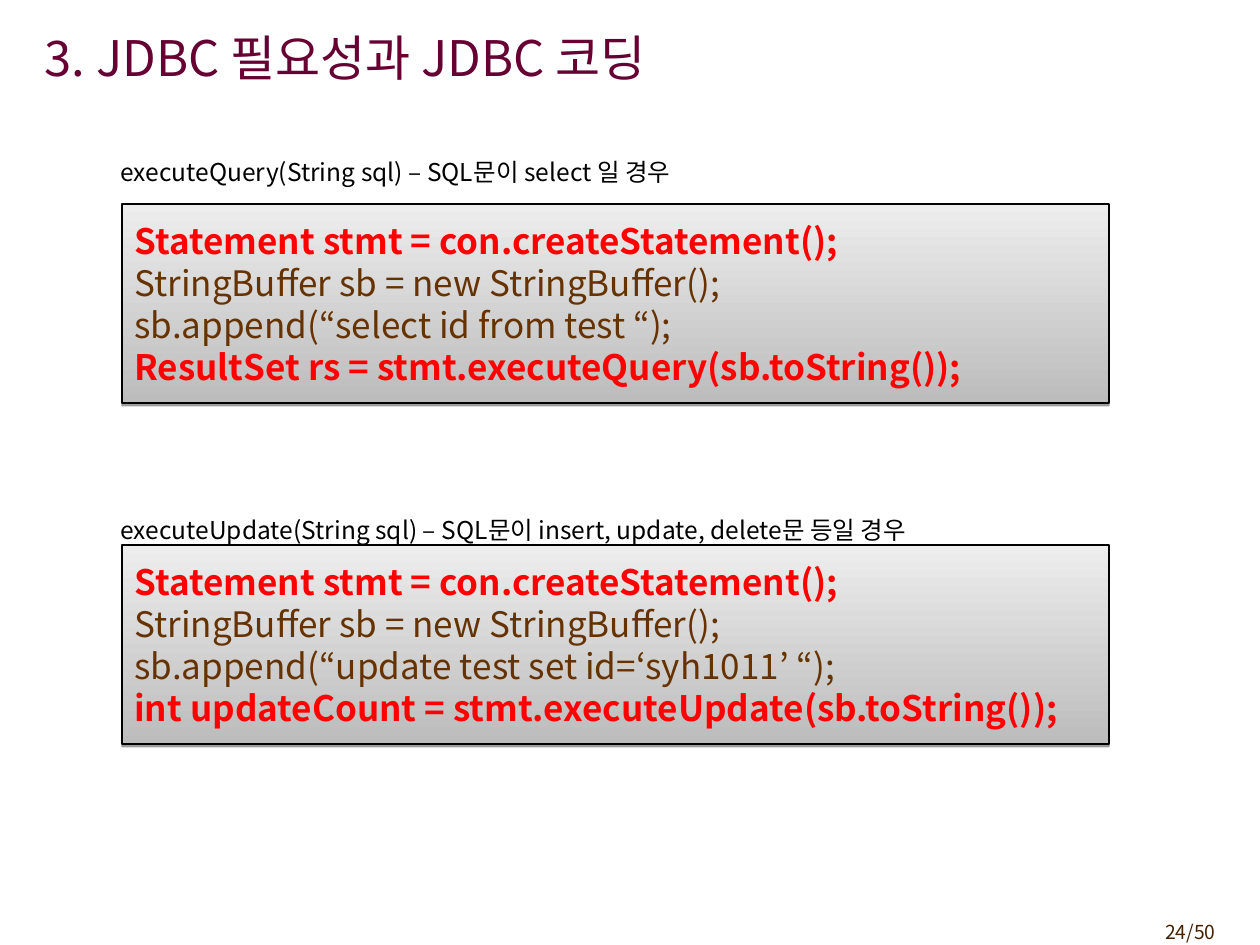
from lxml.etree import SubElement
from pptx import Presentation
from pptx.dml.color import RGBColor
from pptx.enum.shapes import MSO_SHAPE as Shape
from pptx.enum.text import MSO_ANCHOR as Anchor, MSO_AUTO_SIZE as AutoSize, PP_ALIGN as Align
from pptx.oxml.ns import qn
from pptx.util import Emu, Pt

FONT = "Noto Sans CJK KR"
COLORS = {"title": "660033", "body": "000000", "code": "663300", "key": "FF0000",
          "page": "452103", "line": "000000", "dark": "BCBCBC", "light": "EDEDED"}
STYLES = {
    "title": {"size": Pt(28), "bold": False},
    "body": {"size": Pt(14), "bold": False},
    "code": {"size": Pt(20), "bold": False},
    "key": {"size": Pt(20), "bold": True},
    "page": {"size": Pt(11), "bold": False},
}
QUERY_CODE = [
    ("Statement stmt = con.createStatement();", "key"),
    ("StringBuffer sb = new StringBuffer();", "code"),
    ("sb.append(“select id from test “);", "code"),
    ("ResultSet rs = stmt.executeQuery(sb.toString());", "key"),
]
UPDATE_CODE = QUERY_CODE[:2] + [
    ("sb.append(“update test set id=‘syh1011’ “);", "code"),
    ("int updateCount = stmt.executeUpdate(sb.toString());", "key"),
]
HEADINGS = [
    "executeQuery(String sql) – SQL문이 select 일 경우",
    "executeUpdate(String sql) – SQL문이 insert, update, delete문 등일 경우",
]


def px(length):
    """Turn whole pixels into EMU."""
    return Emu(round(length * 914400 / 126))


def color(name):
    """Look up a named colour."""
    return RGBColor.from_string(COLORS[name])


def set_values(target, values):
    """Set attributes of an object from a dict."""
    for name, value in values.items():
        setattr(target, name, value)


def place(shape, box):
    """Move a shape to a pixel box."""
    set_values(shape, dict(zip(("left", "top", "width", "height"), map(px, box))))


def write_lines(frame, lines, align=Align.LEFT):
    """Write styled lines as paragraphs and return the paragraphs."""
    for index, (text, style) in enumerate(lines):
        paragraph = frame.add_paragraph() if index else frame.paragraphs[0]
        paragraph.alignment = align
        run = paragraph.add_run()
        run.text = text
        set_values(run.font, {"name": FONT, **STYLES[style]})
        run.font.color.rgb = color(style)
        SubElement(run.font._element, qn("a:ea"), typeface=FONT)
    return frame.paragraphs


def add_title(slide, box, text):
    """Fill the title placeholder."""
    title = slide.shapes.title
    place(title, box)
    set_values(title.text_frame, {"vertical_anchor": Anchor.MIDDLE, "auto_size": AutoSize.NONE})
    write_lines(title.text_frame, [(text, "title")])


def add_headings(slide, box, headings):
    """Fill the body placeholder with one heading above each code box."""
    body = slide.placeholders[1]
    place(body, box)
    body.text_frame.auto_size = AutoSize.NONE
    paragraphs = write_lines(body.text_frame, [(text, "body") for text in headings])
    for index, paragraph in enumerate(paragraphs):
        set_values(paragraph, {"line_spacing": 1.5, "space_after": Pt(2),
                               "space_before": Pt(177.5 if index else 0)})
        properties = paragraph._p.get_or_add_pPr()
        properties.set("marL", str(px(48)))
        properties.set("indent", str(-px(48)))
        SubElement(properties, qn("a:buNone"))


def add_code_box(slide, box, lines):
    """Draw a shaded box holding lines of code."""
    shape = slide.shapes.add_shape(Shape.RECTANGLE, *map(px, box))
    shape.fill.gradient()
    shape.fill.gradient_angle = 90
    for stop, name in zip(shape.fill.gradient_stops, ("dark", "light")):
        stop.color.rgb = color(name)
    shape.line.color.rgb = color("line")
    shape.line.width = Pt(0.75)
    shape.shadow.inherit = False
    effects = shape._element.spPr.find(qn("a:effectLst"))
    shadow = SubElement(effects, qn("a:outerShdw"), blurRad="0", dist=str(Pt(1.6)),
                        dir="5400000", rotWithShape="0")
    shade = SubElement(shadow, qn("a:srgbClr"), val=COLORS["line"])
    SubElement(shade, qn("a:alpha"), val="38000")
    set_values(shape.text_frame, {"word_wrap": True, "vertical_anchor": Anchor.MIDDLE})
    write_lines(shape.text_frame, lines)


def add_page_number(slide, box, text):
    """Write the page count in the corner."""
    frame = slide.shapes.add_textbox(*map(px, box)).text_frame
    frame.word_wrap = True
    write_lines(frame, [(text, "page")], Align.RIGHT)


def main():
    """Build and save the slide."""
    presentation = Presentation()
    set_values(presentation, {"slide_width": px(1260), "slide_height": px(945)})
    slide = presentation.slides.add_slide(presentation.slide_layouts[1])
    add_page_number(slide, (1124, 914, 104, 36), "24/50")
    add_headings(slide, (108, 136, 1097, 756), HEADINGS)
    for top, lines in ((204, QUERY_CODE), (545, UPDATE_CODE)):
        add_code_box(slide, (122, top, 987, 199), lines)
    add_title(slide, (32, 10, 1124, 93), "3. JDBC 필요성과 JDBC 코딩")
    presentation.save("out.pptx")


if __name__ == "__main__":
    main()
